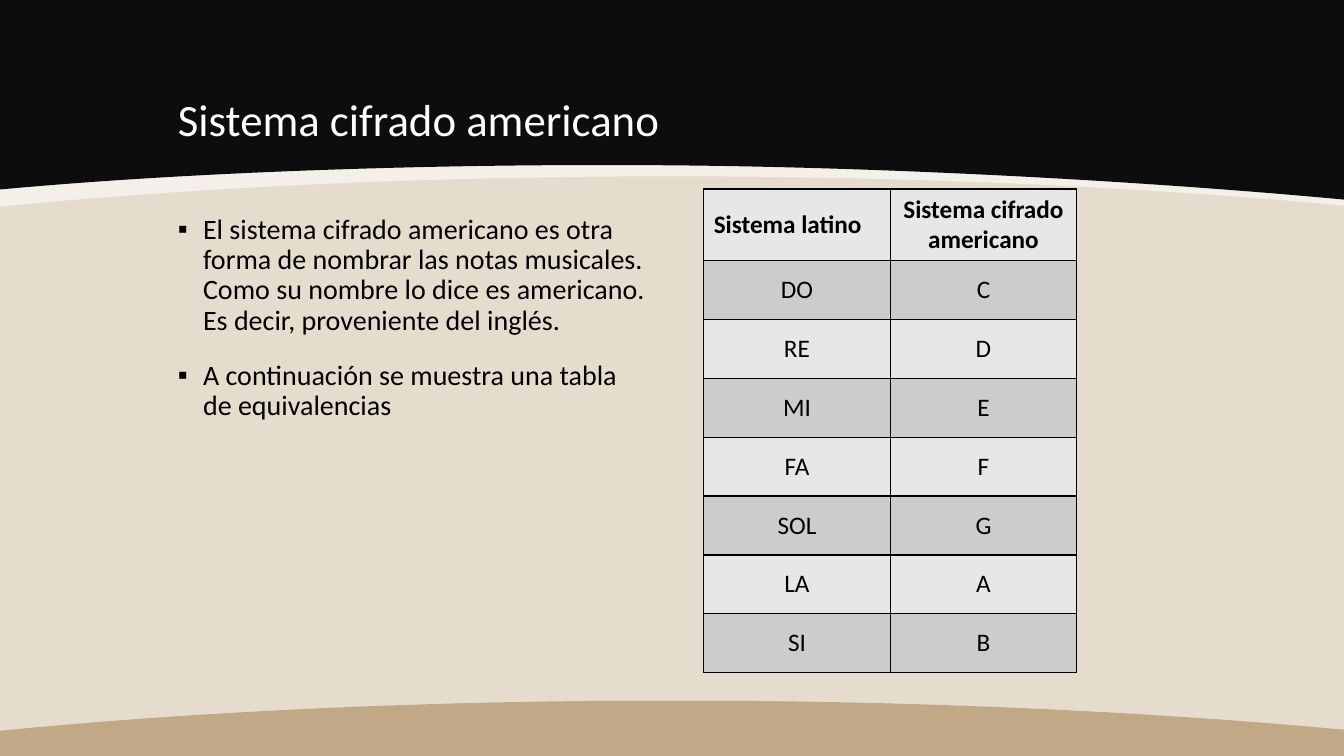
from lxml import etree
from pptx import Presentation
from pptx.dml.color import RGBColor
from pptx.enum.text import MSO_ANCHOR, MSO_AUTO_SIZE, PP_ALIGN
from pptx.oxml import parse_xml
from pptx.oxml.ns import nsdecls, qn
from pptx.util import Inches, Pt

LEFT, CENTER = PP_ALIGN.LEFT, PP_ALIGN.CENTER
TOP, MIDDLE, BOTTOM = MSO_ANCHOR.TOP, MSO_ANCHOR.MIDDLE, MSO_ANCHOR.BOTTOM
FIXED = MSO_AUTO_SIZE.NONE
WIDE, HIGH = Inches(13.33), Inches(7.5)
FONT = "Calibri"
INK, WHITE = "000000", "FFFFFF"
BANDS = ("E7E7E7", "CCCCCC")

POINTS = [
    "El sistema cifrado americano es otra forma de nombrar las notas musicales. "
    "Como su nombre lo dice es americano. Es decir, proveniente del inglés.",
    "A continuación se muestra una tabla de equivalencias",
]
NOTES = [
    ("Sistema latino", "Sistema cifrado americano"),
    ("DO", "C"), ("RE", "D"), ("MI", "E"), ("FA", "F"),
    ("SOL", "G"), ("LA", "A"), ("SI", "B"),
]


def paint(fill, color):
    """Fill solidly with a hex colour."""
    fill.solid()
    fill.fore_color.rgb = RGBColor.from_string(color)


def scale(box):
    """Turn a box in percent of the slide into lengths."""
    x, y, w, h = box
    return (int(WIDE * x / 100), int(HIGH * y / 100),
            int(WIDE * w / 100), int(HIGH * h / 100))


def style(para, size, color, align=LEFT, bold=False):
    """Set font and alignment of a paragraph."""
    para.alignment = align
    font = para.font
    font.name, font.size, font.bold = FONT, Pt(size), bold
    font.color.rgb = RGBColor.from_string(color)


def place(holder, box, anchor):
    """Move a placeholder to its box and return its text frame."""
    holder.left, holder.top, holder.width, holder.height = scale(box)
    frame = holder.text_frame
    frame.auto_size, frame.word_wrap = FIXED, True
    frame.vertical_anchor = anchor
    return frame


def bend(shape):
    """Turn the last six straight lines of an outline into two curves."""
    lines = list(shape._element.iter(qn("a:lnTo")))[-6:]
    for trio in (lines[:3], lines[3:]):
        curve = etree.Element(qn("a:cubicBezTo"))
        trio[0].addprevious(curve)
        for line in trio:
            curve.append(line[0])
            line.getparent().remove(line)


def wave(slide, box, base, reach, rise, color, alpha=None):
    """Fill from a flat base to a curved edge, in percent of the box."""
    left, top, width, height = scale(box)
    cols = (100, 85.5, 50 + reach, 50, 50 - reach, 14.5, 0)
    nodes = [(0, base), (100, base), *zip(cols, rise)]
    spots = [(int(left + width * x / 100), int(top + height * y / 100))
             for x, y in nodes]
    pen = slide.shapes.build_freeform(*spots[0])
    pen.add_line_segments(spots[1:], close=True)
    shape = pen.convert_to_shape()
    bend(shape)
    shape.shadow.inherit = False
    shape.line.fill.background()
    paint(shape.fill, color)
    if alpha:
        tone = shape.fill._xPr.find(".//" + qn("a:srgbClr"))
        etree.SubElement(tone, qn("a:alpha")).set("val", str(alpha * 1000))


def decor(slide, box):
    """Draw the background and its three waves."""
    paint(slide.background.fill, "E6DCCE")
    wave(slide, box, 0, 18.4,
         (27.2, 24.8, 23.33, 23.33, 23.33, 24.8, 27.33), "FAF8F5", 70)
    wave(slide, box, 0, 16.65,
         (26.4, 24, 22.13, 21.87, 21.6, 22.67, 25.07), "0D0D0D")
    wave(slide, box, 100, 18.4,
         (96.53, 94.13, 92.67, 92.67, 92.67, 94.13, 96.67), "C1A886")


def title(slide, box):
    """Write the title."""
    frame = place(slide.shapes.title, box, BOTTOM)
    frame.text = "Sistema cifrado americano"
    para = frame.paragraphs[0]
    style(para, 32, WHITE)
    para.line_spacing = 0.9


def body(slide, box):
    """Write the bulleted list."""
    frame = place(slide.placeholders[1], box, TOP)
    frame.text = "\n".join(POINTS)
    for para in frame.paragraphs:
        style(para, 20, INK)
        para.line_spacing, para.space_before = 0.9, Pt(18)
        props = para._p.get_or_add_pPr()
        props.set("marL", str(Inches(0.25)))
        props.set("indent", str(-Inches(0.25)))
        etree.SubElement(props, qn("a:buFont")).set("typeface", "Arial")
        etree.SubElement(props, qn("a:buChar")).set("char", "▪")


def rule(cell):
    """Rule all four sides of a cell."""
    props = cell._tc.get_or_add_tcPr()
    for side in "LRTB":
        props.append(parse_xml(
            f'<a:ln{side} w="{Pt(1)}" {nsdecls("a")}><a:solidFill>'
            f'<a:srgbClr val="{INK}"/></a:solidFill></a:ln{side}>'))


def notes(slide, box):
    """Build the table of note names."""
    spot = scale(box)
    table = slide.shapes.add_table(len(NOTES), 2, *spot).table
    table.first_row = table.horz_banding = False
    step = spot[3] * 5 // 41
    for r, names in enumerate(NOTES):
        table.rows[r].height = step if r else spot[3] - step * (len(NOTES) - 1)
        for c, name in enumerate(names):
            cell = table.cell(r, c)
            cell.text, cell.vertical_anchor = name, MIDDLE
            rule(cell)
            paint(cell.fill, BANDS[r % 2])
            align = CENTER if r or c else LEFT
            style(cell.text_frame.paragraphs[0], 18, INK, align, r == 0)


def main():
    """Build and save the slide."""
    deck = Presentation()
    deck.slide_width, deck.slide_height = WIDE, HIGH
    slide = deck.slides.add_slide(deck.slide_layouts[1])
    decor(slide, (0, 0, 100, 100))
    for holder in list(slide.placeholders):
        slide.shapes._spTree.append(holder._element)
    title(slide, (12.48, 4, 75, 16))
    body(slide, (12.48, 27.8, 36.5, 62.2))
    notes(slide, (52.36, 25, 27.76, 63.87))
    deck.save("out.pptx")


main()
